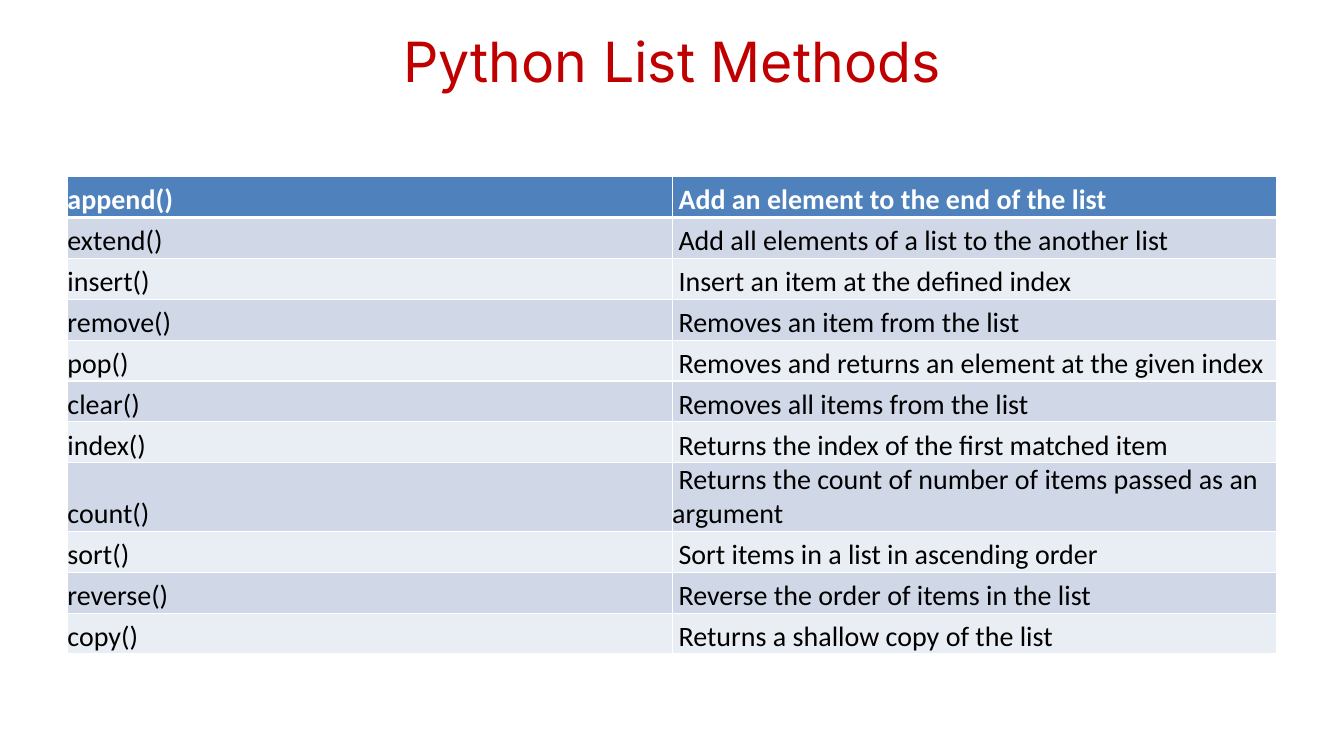
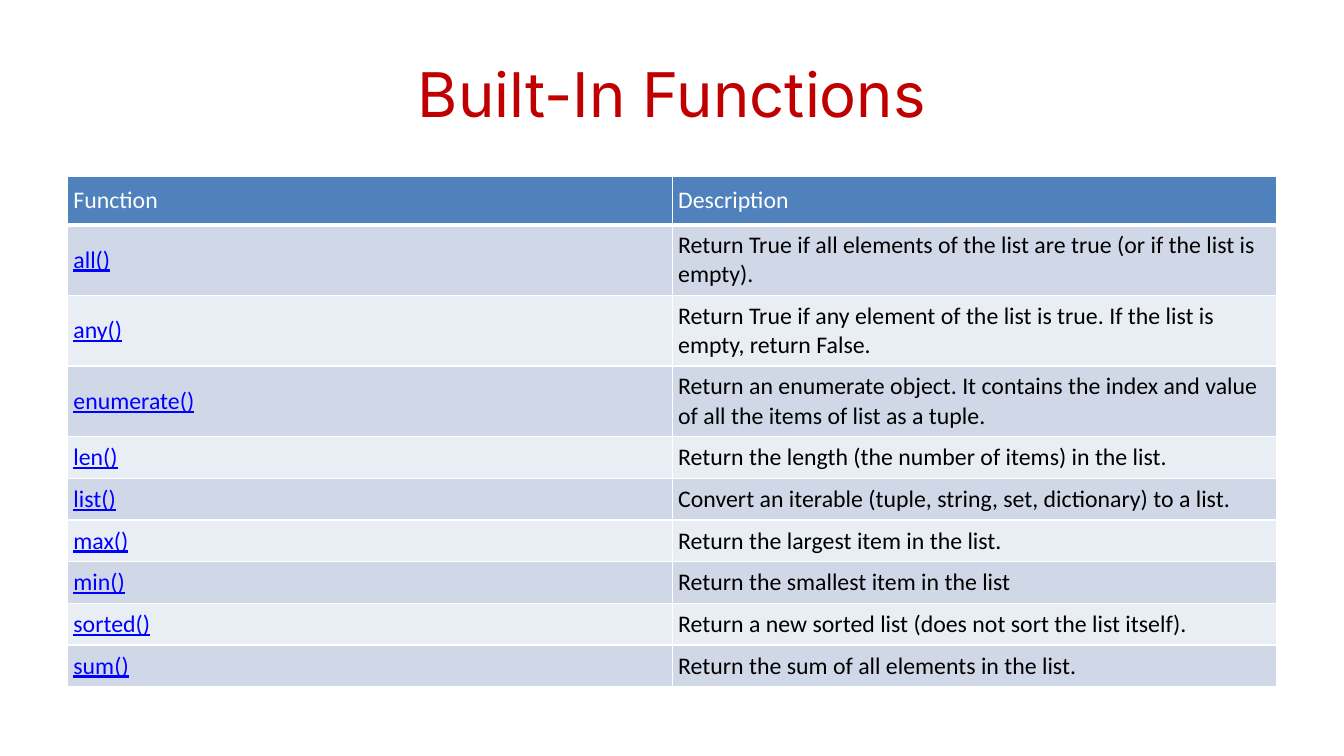
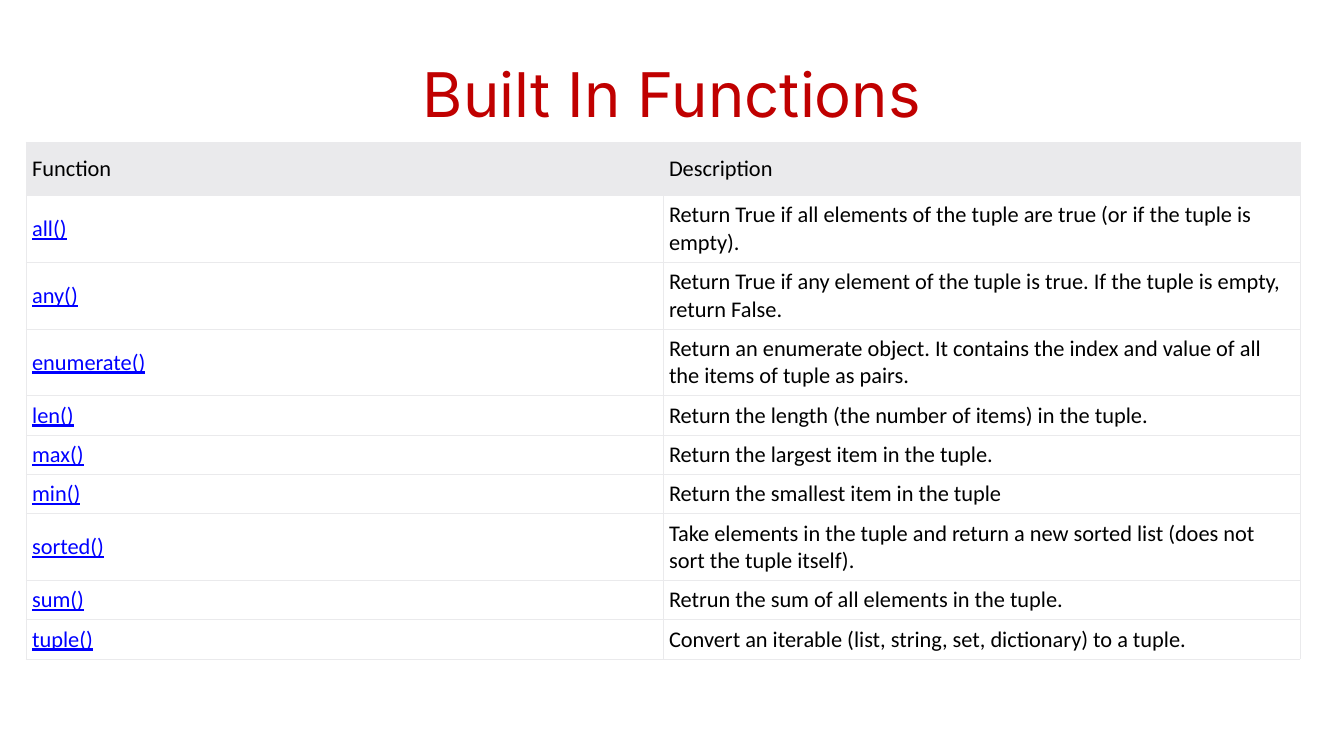
"""Build three slides of Python list and tuple function tables."""
from lxml.etree import SubElement
from pptx import Presentation
from pptx.dml.color import RGBColor
from pptx.enum.text import MSO_ANCHOR, MSO_AUTO_SIZE, PP_ALIGN
from pptx.oxml.ns import qn
from pptx.util import Cm, Pt

TITLE_COLOR = "C00000"
LINK_COLOR = "0000FF"
BLUE_STYLE = {
    "header_fill": "4F81BD", "header_color": "FFFFFF", "bands": ["D0D8E8", "E9EDF4"],
    "border": "FFFFFF", "border_width": 1, "header_rule": 3,
}
GRAY_STYLE = {
    "header_fill": "EAEAEC", "header_color": "000000", "bands": ["FFFFFF"],
    "border": "EAEAEC", "border_width": 0.5, "header_rule": 0.5,
}
PADDED = {"left": 0.15, "right": 0.13, "header_vertical": 0.24, "vertical": 0.15}
FLUSH = {"left": 0, "right": 0, "header_vertical": 0, "vertical": 0}

SLIDES = [
    {
        "title": "Python List Methods", "title_size": 39.6, "title_margins": (0, 1.65),
        "position": (1.7, 4.45), "width": 30.48, "style": BLUE_STYLE, "margins": FLUSH,
        "size": 20, "bold_header": True, "links": False, "anchor": MSO_ANCHOR.BOTTOM,
        "heights": (1.03, 1.03, 1.73), "wrap_length": 55,
        "rows": [
            ("append()", " Add an element to the end of the list"),
            ("extend()", " Add all elements of a list to the another list"),
            ("insert()", " Insert an item at the defined index"),
            ("remove()", " Removes an item from the list"),
            ("pop()", " Removes and returns an element at the given index"),
            ("clear()", " Removes all items from the list"),
            ("index()", " Returns the index of the first matched item"),
            ("count()", " Returns the count of number of items passed as an argument"),
            ("sort()", " Sort items in a list in ascending order"),
            ("reverse()", " Reverse the order of items in the list"),
            ("copy()", " Returns a shallow copy of the list"),
        ],
    },
    {
        "title": "Built-In Functions", "title_size": 44, "title_margins": (0.13, 0.13),
        "position": (1.7, 4.45), "width": 30.48, "style": BLUE_STYLE, "margins": PADDED,
        "size": 17, "bold_header": False, "links": True, "anchor": MSO_ANCHOR.MIDDLE,
        "heights": (1.18, 1.05, 1.78), "wrap_length": 70,
        "rows": [
            ("Function", "Description"),
            ("all()", "Return True if all elements of the list are true (or if the list is empty)."),
            ("any()", "Return True if any element of the list is true. If the list is empty, return False."),
            ("enumerate()", "Return an enumerate object. It contains the index and value of all the items of list as a tuple."),
            ("len()", "Return the length (the number of items) in the list."),
            ("list()", "Convert an iterable (tuple, string, set, dictionary) to a list."),
            ("max()", "Return the largest item in the list."),
            ("min()", "Return the smallest item in the list"),
            ("sorted()", "Return a new sorted list (does not sort the list itself)."),
            ("sum()", "Return the sum of all elements in the list."),
        ],
    },
    {
        "title": "Built In Functions", "title_size": 44, "title_margins": (0.13, 0.13),
        "position": (0.66, 3.58), "width": 32.1, "style": GRAY_STYLE, "margins": PADDED,
        "size": 16, "bold_header": False, "links": True, "anchor": MSO_ANCHOR.MIDDLE,
        "heights": (1.35, 0.98, 1.68), "wrap_length": 70,
        "rows": [
            ("Function", "Description"),
            ("all()", "Return True if all elements of the tuple are true (or if the tuple is empty)."),
            ("any()", "Return True if any element of the tuple is true. If the tuple is empty, return False."),
            ("enumerate()", "Return an enumerate object. It contains the index and value of all the items of tuple as pairs."),
            ("len()", "Return the length (the number of items) in the tuple."),
            ("max()", "Return the largest item in the tuple."),
            ("min()", "Return the smallest item in the tuple"),
            ("sorted()", "Take elements in the tuple and return a new sorted list (does not sort the tuple itself)."),
            ("sum()", "Retrun the sum of all elements in the tuple."),
            ("tuple()", "Convert an iterable (list, string, set, dictionary) to a tuple."),
        ],
    },
]


def add_run(paragraph, text, font_name, size, color, bold=False, underline=False):
    run = paragraph.add_run()
    run.text = text
    run.font.name = font_name
    run.font.size = Pt(size)
    run.font.bold = bold
    run.font.underline = underline
    run.font.color.rgb = RGBColor.from_string(color)


def add_borders(cell, color, widths):
    properties = cell._tc.get_or_add_tcPr()
    for side, width in widths.items():
        line = SubElement(properties, qn(f"a:ln{side}"), w=str(Pt(width)))
        fill = SubElement(line, qn("a:solidFill"))
        SubElement(fill, qn("a:srgbClr"), val=color)


presentation = Presentation()
presentation.slide_width = Cm(33.87)
presentation.slide_height = Cm(19.05)
title_only = presentation.slide_layouts.get_by_name("Title Only")

for content in SLIDES:
    slide = presentation.slides.add_slide(title_only)

    title = slide.shapes.title
    title.left, title.top, title.width, title.height = Cm(1.7), Cm(0.76), Cm(30.48), Cm(3.18)
    frame = title.text_frame
    frame.word_wrap = True
    frame.auto_size = MSO_AUTO_SIZE.NONE
    frame.vertical_anchor = MSO_ANCHOR.MIDDLE
    frame.margin_top, frame.margin_bottom = [Cm(margin) for margin in content["title_margins"]]
    frame.paragraphs[0].alignment = PP_ALIGN.CENTER
    add_run(frame.paragraphs[0], content["title"], "Inter", content["title_size"], TITLE_COLOR)

    rows, style, margins = content["rows"], content["style"], content["margins"]
    header_height, single_height, double_height = content["heights"]
    heights = [header_height] + [
        double_height if len(description) > content["wrap_length"] else single_height
        for _, description in rows[1:]
    ]
    left, top = content["position"]
    table = slide.shapes.add_table(
        len(rows), 2, Cm(left), Cm(top), Cm(content["width"]), Cm(sum(heights))
    ).table
    table.horz_banding = False

    for row_index, (row, height) in enumerate(zip(rows, heights)):
        is_header = row_index == 0
        table.rows[row_index].height = Cm(height)
        widths = dict.fromkeys("LRTB", style["border_width"])
        if row_index < 2:
            widths["B" if is_header else "T"] = style["header_rule"]

        for column_index, text in enumerate(row):
            cell = table.cell(row_index, column_index)
            add_borders(cell, style["border"], widths)
            cell.fill.solid()
            bands = style["bands"]
            fill_color = style["header_fill"] if is_header else bands[(row_index - 1) % len(bands)]
            cell.fill.fore_color.rgb = RGBColor.from_string(fill_color)
            cell.vertical_anchor = content["anchor"]
            cell.margin_left, cell.margin_right = Cm(margins["left"]), Cm(margins["right"])
            vertical = Cm(margins["header_vertical" if is_header else "vertical"])
            cell.margin_top = cell.margin_bottom = vertical

            is_link = content["links"] and not is_header and column_index == 0
            text_color = style["header_color"] if is_header else LINK_COLOR if is_link else "000000"
            add_run(
                cell.text_frame.paragraphs[0], text, "Calibri", content["size"], text_color,
                bold=is_header and content["bold_header"], underline=is_link,
            )

presentation.save("out.pptx")
